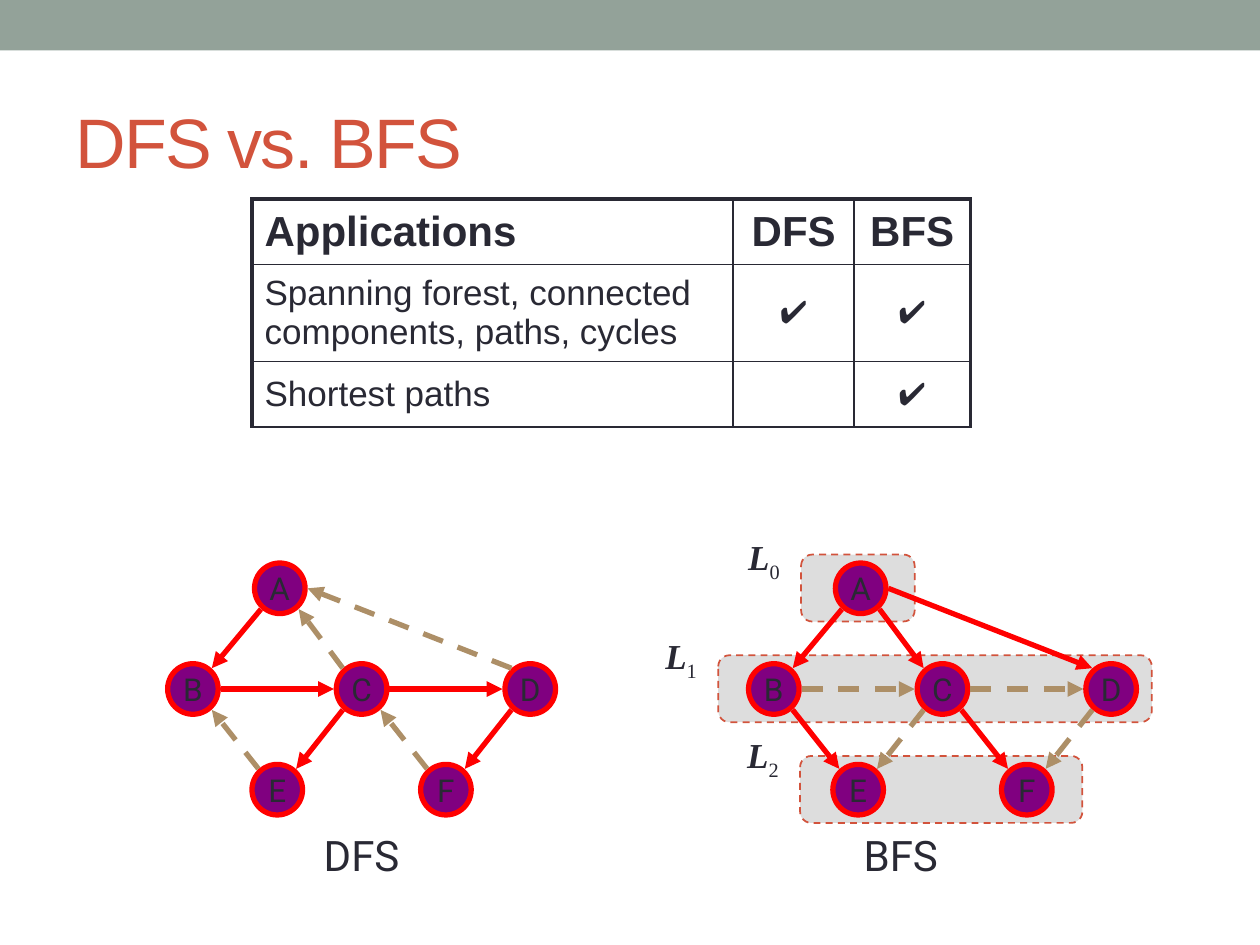
"""Build a slide that compares depth-first and breadth-first search."""
from dataclasses import dataclass
from math import copysign

from lxml.etree import SubElement
from pptx import Presentation
from pptx.dml.color import RGBColor as Color
from pptx.enum.dml import MSO_LINE_DASH_STYLE as Dash
from pptx.enum.shapes import MSO_CONNECTOR as Connector, MSO_SHAPE as Shape
from pptx.enum.text import MSO_ANCHOR as Anchor, PP_ALIGN as Align
from pptx.oxml.ns import qn
from pptx.util import Cm, Pt


@dataclass(frozen=True)
class Theme:
    band: str = "93A299"
    accent: str = "D2533C"
    ink: str = "292934"
    level: str = "DDDDDD"
    node: str = "800080"
    tree: str = "FF0000"
    other: str = "AD8F67"
    title_size: int = 40
    heading_size: int = 24
    body_size: int = 20
    node_size: int = 18
    thick: float = 2.25
    thin: float = 1
    edge: float = 3
    sans: str = "Arial"
    label: str = "Roboto"
    serif: str = "Times New Roman"


NODE_SIZE = 1.02
ROW_STEP = 2.03
TOP_ROW = 11.86
COLUMN_STEP = 1.7
NODES = {"A": (1.03, 0), "B": (0, 1), "C": (2, 1), "D": (4, 1), "E": (1, 2), "F": (3, 2)}
GRAPHS = [
    ("DFS", 3.89, 5.08, "AB BC CD CE DF", "EB CA DA FC"),
    ("BFS", 15.6, 15.95, "AB AC AD BE CF", "BC CD CE DF"),
]
LEVELS = [(16.15, 2.29), (14.48, 8.74), (16.13, 5.69)]
COLUMN_WIDTHS = [9.7, 2.44, 2.34]
ROW_HEIGHTS = [1.32, 1.96, 1.32]
APPLICATIONS = [
    ("Applications", "DFS", "BFS"),
    ("Spanning forest, connected components, paths, cycles", "✔", "✔"),
    ("Shortest paths", "", "✔"),
]


class SlideBuilder:
    def __init__(self, slide, theme):
        self.slide = slide
        self.theme = theme

    def format_run(self, run, size, font, color, bold=False, italic=False):
        run.font.size = Pt(size)
        run.font.name = font
        run.font.color.rgb = Color.from_string(color)
        run.font.bold = bold
        run.font.italic = italic

    def text(self, text, box, size, font, color, align=Align.CENTER, anchor=Anchor.TOP):
        shape = self.slide.shapes.add_textbox(*map(Cm, box))
        frame = shape.text_frame
        frame.word_wrap = True
        frame.vertical_anchor = anchor
        frame.text = text
        paragraph = frame.paragraphs[0]
        paragraph.alignment = align
        self.format_run(paragraph.runs[0], size, font, color)
        return paragraph

    def title(self, text):
        theme = self.theme
        box = (1.27, 1.47, 22.86, 2.74)
        paragraph = self.text(text, box, theme.title_size, theme.sans, theme.accent,
                              Align.LEFT, Anchor.MIDDLE)
        paragraph.runs[0]._r.get_or_add_rPr().set("spc", "-100")

    def shape(self, kind, box, fill, line=None, width=1):
        shape = self.slide.shapes.add_shape(kind, *map(Cm, box))
        shape.shadow.inherit = False
        shape.fill.solid()
        shape.fill.fore_color.rgb = Color.from_string(fill)
        if line:
            shape.line.color.rgb = Color.from_string(line)
            shape.line.width = Pt(width)
        else:
            shape.line.fill.background()
        return shape

    def level(self, index, left, width):
        theme = self.theme
        box = (left, 11.18 + index * ROW_STEP, width, 1.35)
        shape = self.shape(Shape.ROUNDED_RECTANGLE, box, theme.level, theme.accent)
        shape.line.dash_style = Dash.DASH
        label_box = (left - 1.4, 10.67 + index * 2, 1.3, 1.09)
        paragraph = self.text("L", label_box, theme.body_size, theme.serif, theme.ink)
        paragraph.runs[0].font.bold = paragraph.runs[0].font.italic = True
        subscript = paragraph.add_run()
        subscript.text = str(index)
        self.format_run(subscript, theme.body_size, theme.serif, theme.ink)
        subscript._r.get_or_add_rPr().set("baseline", "-25000")

    def node(self, name, center):
        theme = self.theme
        x, y = center
        box = (x - NODE_SIZE / 2, y - NODE_SIZE / 2, NODE_SIZE, NODE_SIZE)
        shape = self.shape(Shape.OVAL, box, theme.node, theme.tree, theme.edge)
        frame = shape.text_frame
        frame.word_wrap = False
        frame.vertical_anchor = Anchor.MIDDLE
        frame.text = name
        frame.paragraphs[0].alignment = Align.CENTER
        self.format_run(frame.paragraphs[0].runs[0], theme.node_size, theme.label, theme.ink)

    def port(self, center, target):
        """Return the point on a node's rim that faces the target node."""
        (x, y), (target_x, target_y) = center, target
        run, drop = target_x - x, target_y - y
        if drop == 0 or (drop > 0 and abs(run) > 2 * drop):
            return x + copysign(0.56, run), y
        return x + copysign(0.38, run), y + copysign(0.42, drop)

    def edge(self, start, end, color, dashed):
        points = (*self.port(start, end), *self.port(end, start))
        connector = self.slide.shapes.add_connector(Connector.STRAIGHT, *map(Cm, points))
        line = connector.line
        line.color.rgb = Color.from_string(color)
        line.width = Pt(self.theme.edge)
        if dashed:
            line.dash_style = Dash.DASH
        SubElement(line._get_or_add_ln(), qn("a:tailEnd"), type="triangle")
        SubElement(connector._element.spPr, qn("a:effectLst"))

    def graph(self, name, left, label_left, tree_edges, other_edges):
        theme = self.theme
        centers = {node: (left + column * COLUMN_STEP, TOP_ROW + row * ROW_STEP)
                   for node, (column, row) in NODES.items()}
        for node, center in centers.items():
            self.node(node, center)
        for edges, color, dashed in ((tree_edges, theme.tree, False),
                                     (other_edges, theme.other, True)):
            for start, end in edges.split():
                self.edge(centers[start], centers[end], color, dashed)
        self.text(name, (label_left, 16.59, 4.42, 1.27), theme.heading_size,
                  theme.label, theme.ink)

    def border(self, cell, side, width):
        properties = cell._tc.get_or_add_tcPr()
        line = SubElement(properties, qn(f"a:ln{side}"), w=str(Pt(width)))
        fill = SubElement(line, qn("a:solidFill"))
        SubElement(fill, qn("a:srgbClr"), val=self.theme.ink)

    def table(self, rows):
        theme = self.theme
        box = (5.08, 4.01, sum(COLUMN_WIDTHS), sum(ROW_HEIGHTS))
        table = self.slide.shapes.add_table(len(rows), len(rows[0]), *map(Cm, box)).table
        table.first_row = table.horz_banding = False
        for column, width in zip(table.columns, COLUMN_WIDTHS):
            column.width = Cm(width)
        for row, height in zip(table.rows, ROW_HEIGHTS):
            row.height = Cm(height)
        for i, values in enumerate(rows):
            for j, value in enumerate(values):
                cell = table.cell(i, j)
                outer = {"L": j == 0, "R": j == len(values) - 1, "T": i == 0, "B": False}
                for side, is_outer in outer.items():
                    self.border(cell, side, theme.thick if is_outer else theme.thin)
                cell.fill.background()
                cell.vertical_anchor = Anchor.MIDDLE
                cell.text_frame.text = value
                paragraph = cell.text_frame.paragraphs[0]
                paragraph.alignment = Align.CENTER if j else Align.LEFT
                body_size = theme.node_size if j else theme.body_size
                size = body_size if i else theme.heading_size
                for run in paragraph.runs:
                    self.format_run(run, size, theme.sans, theme.ink, bold=i == 0 or j > 0)


def main():
    presentation = Presentation()
    presentation.slide_width, presentation.slide_height = Cm(25.4), Cm(19.05)
    theme = Theme()
    builder = SlideBuilder(presentation.slides.add_slide(presentation.slide_layouts[6]), theme)
    builder.shape(Shape.RECTANGLE, (0, 0, 25.4, 1.02), theme.band)
    builder.title("DFS vs. BFS")
    for index, (left, width) in enumerate(LEVELS):
        builder.level(index, left, width)
    for graph in GRAPHS:
        builder.graph(*graph)
    builder.table(APPLICATIONS)
    presentation.save("out.pptx")


if __name__ == "__main__":
    main()
